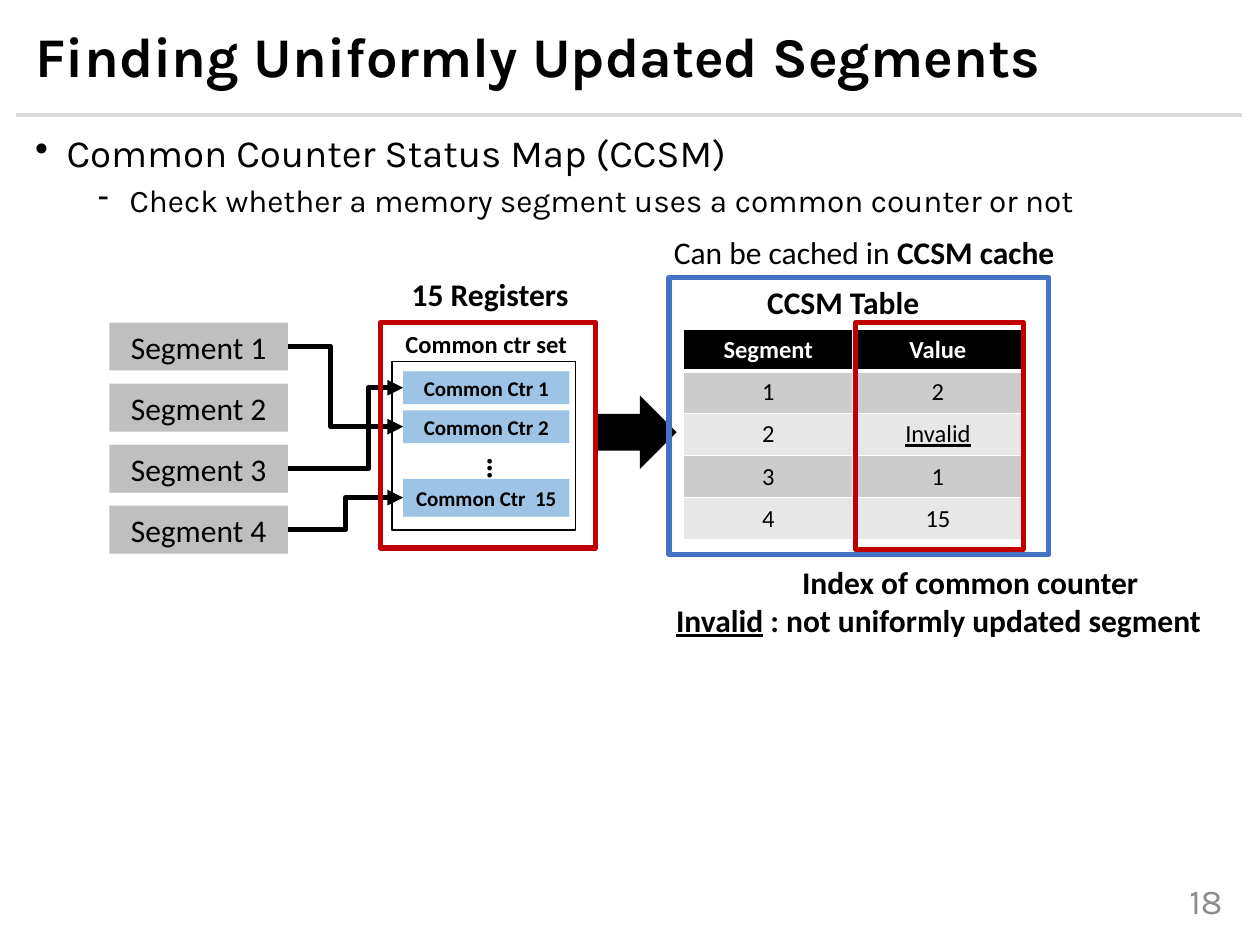
from dataclasses import dataclass

from lxml import etree
from pptx import Presentation
from pptx.dml.color import RGBColor
from pptx.enum import shapes as kinds
from pptx.enum import text as t
from pptx.oxml import ns
from pptx.util import Pt

BLACK = RGBColor(0x00, 0x00, 0x00)
WHITE = RGBColor(0xFF, 0xFF, 0xFF)
PAGE_GRAY = RGBColor(0x8C, 0x8C, 0x8C)
RULE_GRAY = RGBColor(0xD9, 0xD9, 0xD9)
SEGMENT_GRAY = RGBColor(0xBF, 0xBF, 0xBF)
COUNTER_BLUE = RGBColor(0x9D, 0xC3, 0xE6)
CACHE_BLUE = RGBColor(0x44, 0x72, 0xC4)
RED = RGBColor(0xC0, 0x00, 0x00)
BAND_DARK = RGBColor(0xCC, 0xCC, 0xCC)
BAND_LIGHT = RGBColor(0xE7, 0xE7, 0xE7)

CENTER, RIGHT, LEFT = t.PP_ALIGN.CENTER, t.PP_ALIGN.RIGHT, t.PP_ALIGN.LEFT
MIDDLE, TOP = t.MSO_ANCHOR.MIDDLE, t.MSO_ANCHOR.TOP


@dataclass(frozen=True)
class Box:
    left: float
    top: float
    width: float
    height: float

    @property
    def right(self) -> float:
        return self.left + self.width

    @property
    def middle(self) -> float:
        return self.top + self.height / 2

    def lengths(self) -> tuple:
        return Pt(self.left), Pt(self.top), Pt(self.width), Pt(self.height)


@dataclass(frozen=True)
class Run:
    text: str
    bold: bool = False
    underline: bool = False


@dataclass(frozen=True)
class Counter:
    label: str
    box: Box


@dataclass(frozen=True)
class Link:
    segment: int
    counter: int
    bend: float


SEGMENTS = [Box(62.6, 184.3 + 34.9 * i, 102, 27.4) for i in range(4)]
COUNTERS = [
    Counter("Common Ctr 1", Box(230.4, 212.3, 95, 18.7)),
    Counter("Common Ctr 2", Box(230.4, 234.5, 95, 18.7)),
    Counter("Common Ctr  15", Box(230.4, 273.6, 95, 21.6)),
]
LINKS = [Link(0, 1, 0.37), Link(2, 0, 0.7), Link(3, 2, 0.5)]
CCSM_ROWS = [("Segment", "Value"), ("1", "2"), ("2", "Invalid"), ("3", "1"), ("4", "15")]


def write(frame, *lines, size=18, font="Calibri", color=BLACK, bold=False,
          align=LEFT, anchor=TOP):
    """Fill a text frame; each line is a string or a list of Runs."""
    frame.word_wrap = True
    frame.vertical_anchor = anchor
    for i, line in enumerate(lines):
        paragraph = frame.paragraphs[0] if i == 0 else frame.add_paragraph()
        paragraph.alignment = align
        for part in [Run(line, bold)] if isinstance(line, str) else line:
            run = paragraph.add_run()
            run.text = part.text
            run.font.name, run.font.size = font, Pt(size)
            run.font.bold, run.font.underline = part.bold, part.underline
            run.font.color.rgb = color


def label(slide, box: Box, *lines, **style):
    frame = slide.shapes.add_textbox(*box.lengths()).text_frame
    write(frame, *lines, **style)
    return frame


def block(slide, box: Box, fill: RGBColor, kind=kinds.MSO_SHAPE.RECTANGLE):
    shape = slide.shapes.add_shape(kind, *box.lengths())
    shape.shadow.inherit = False
    shape.fill.solid()
    shape.fill.fore_color.rgb = fill
    shape.line.fill.background()
    return shape


def outline(slide, box: Box, color: RGBColor, weight: float = 3):
    shape = slide.shapes.add_shape(kinds.MSO_SHAPE.RECTANGLE, *box.lengths())
    shape.shadow.inherit = False
    shape.fill.background()
    shape.line.color.rgb = color
    shape.line.width = Pt(weight)


def connect(slide, kind, start: tuple, end: tuple, color: RGBColor, weight: float):
    line = slide.shapes.add_connector(kind, *map(Pt, start + end))
    line.line.color.rgb = color
    line.line.width = Pt(weight)
    etree.SubElement(line._element.spPr, ns.qn("a:effectLst"))
    return line


def elbow_arrow(slide, start: tuple, end: tuple, bend: float):
    """Draw an arrow whose upright part lies at the share `bend` of its width."""
    arrow = connect(slide, kinds.MSO_CONNECTOR.ELBOW, start, end, BLACK, 3)
    etree.SubElement(arrow.line._get_or_add_ln(), ns.qn("a:tailEnd"), type="triangle")
    geometry = arrow._element.spPr.find(ns.qn("a:prstGeom"))
    adjustments = geometry.find(ns.qn("a:avLst"))
    if adjustments is None:
        adjustments = etree.SubElement(geometry, ns.qn("a:avLst"))
    etree.SubElement(adjustments, ns.qn("a:gd"), name="adj1",
                     fmla=f"val {round(bend * 100000)}")


def indent(paragraph, margin: float, hanging: float = 0, bullet: str = ""):
    properties = paragraph._p.get_or_add_pPr()
    properties.set("marL", str(Pt(margin)))
    properties.set("indent", str(-Pt(hanging)))
    if bullet:
        etree.SubElement(properties, ns.qn("a:buChar"), char=bullet)


def border(cell, bottom: float):
    """Give a cell white edges of 1 pt, with its own weight at the bottom."""
    properties = cell._tc.get_or_add_tcPr()
    for side, weight in (("lnL", 1), ("lnR", 1), ("lnT", 1), ("lnB", bottom)):
        edge = etree.SubElement(properties, ns.qn(f"a:{side}"), w=str(Pt(weight)))
        paint = etree.SubElement(edge, ns.qn("a:solidFill"))
        etree.SubElement(paint, ns.qn("a:srgbClr"), val=str(WHITE))


def ccsm_table(slide, box: Box):
    rows, columns = len(CCSM_ROWS), len(CCSM_ROWS[0])
    table = slide.shapes.add_table(rows, columns, *box.lengths()).table
    table.horz_banding = False
    for r, values in enumerate(CCSM_ROWS):
        header = r == 0
        table.rows[r].height = Pt(box.height / rows)
        for c, value in enumerate(values):
            cell = table.cell(r, c)
            border(cell, bottom=3 if header else 1)
            cell.fill.solid()
            cell.fill.fore_color.rgb = BLACK if header else BAND_DARK if r % 2 else BAND_LIGHT
            write(cell.text_frame, [Run(value, header, value == "Invalid")], size=14,
                  color=WHITE if header else BLACK, align=CENTER)


def heading(slide):
    title = slide.shapes.title
    title.left, title.top, title.width, title.height = Box(13, 10, 700, 47.5).lengths()
    write(title.text_frame, "Finding Uniformly Updated Segments", size=32, font="Karla",
          bold=True, anchor=MIDDLE)
    title.text_frame.paragraphs[0].line_spacing = 0.9
    connect(slide, kinds.MSO_CONNECTOR.STRAIGHT, (9.4, 65.5), (710, 65.5), RULE_GRAY, 2.25)
    label(slide, Box(628, 500.4, 77.6, 28.8), "18", size=20, font="Karla",
          color=PAGE_GRAY, align=RIGHT, anchor=MIDDLE)

    points = label(slide, Box(13, 73.4, 700, 417), "Common Counter Status Map (CCSM)",
                   "Check whether a memory segment uses a common counter or not",
                   size=22, font="Karla")
    topic, detail = points.paragraphs
    detail.level = 1
    detail.runs[0].font.size = Pt(18)
    for paragraph, margin, bullet, space in ((topic, 18, "•", 10), (detail, 54, "-", 5)):
        paragraph.line_spacing = 0.9
        paragraph.space_before = Pt(space)
        indent(paragraph, margin, 18, bullet)


def diagram(slide):
    for number, box in enumerate(SEGMENTS, 1):
        write(block(slide, box, SEGMENT_GRAY).text_frame, f"Segment {number}",
              align=CENTER, anchor=MIDDLE)
    ccsm_table(slide, Box(390.5, 188, 194, 120.6))
    for link in LINKS:
        segment, counter = SEGMENTS[link.segment], COUNTERS[link.counter].box
        elbow_arrow(slide, (segment.right, segment.middle), (counter.left, counter.middle),
                    link.bend)
    block(slide, Box(341.3, 226, 45.4, 42), BLACK, kinds.MSO_SHAPE.RIGHT_ARROW)
    label(slide, Box(431.3, 158.4, 105, 29), "CCSM Table", bold=True)
    legend = label(slide, Box(369.4, 318.2, 334, 51), "Index of common counter",
                   [Run("Invalid", True, True), Run(" : not uniformly updated segment", True)],
                   bold=True, align=CENTER)
    indent(legend.paragraphs[0], 36)
    outline(slide, Box(488.9, 184.3, 95.8, 129.6), RED)

    label(slide, Box(224.6, 184.3, 112.3, 24.5), "Common ctr set", size=14, bold=True)
    for counter in COUNTERS:
        write(block(slide, counter.box, COUNTER_BLUE).text_frame, counter.label, size=12,
              bold=True, align=CENTER, anchor=MIDDLE)
    outline(slide, Box(223.9, 206.6, 105, 96.5), BLACK, 1)
    more = label(slide, Box(264.2, 254.2, 36, 34.6), "…", bold=True)
    more._txBody.bodyPr.set("vert", "eaVert")
    outline(slide, Box(217.4, 184.3, 123.1, 128.9), RED)
    label(slide, Box(228.2, 153.4, 105, 29), "15 Registers", bold=True)
    outline(slide, Box(382.3, 158.4, 216.7, 158.4), CACHE_BLUE)
    label(slide, Box(378, 129.6, 316.8, 29), [Run("Can be cached in "), Run("CCSM cache", True)])


def main():
    deck = Presentation()
    deck.slide_width, deck.slide_height = Pt(720), Pt(540)
    slide = deck.slides.add_slide(deck.slide_layouts[5])
    heading(slide)
    diagram(slide)
    deck.save("out.pptx")


if __name__ == "__main__":
    main()
